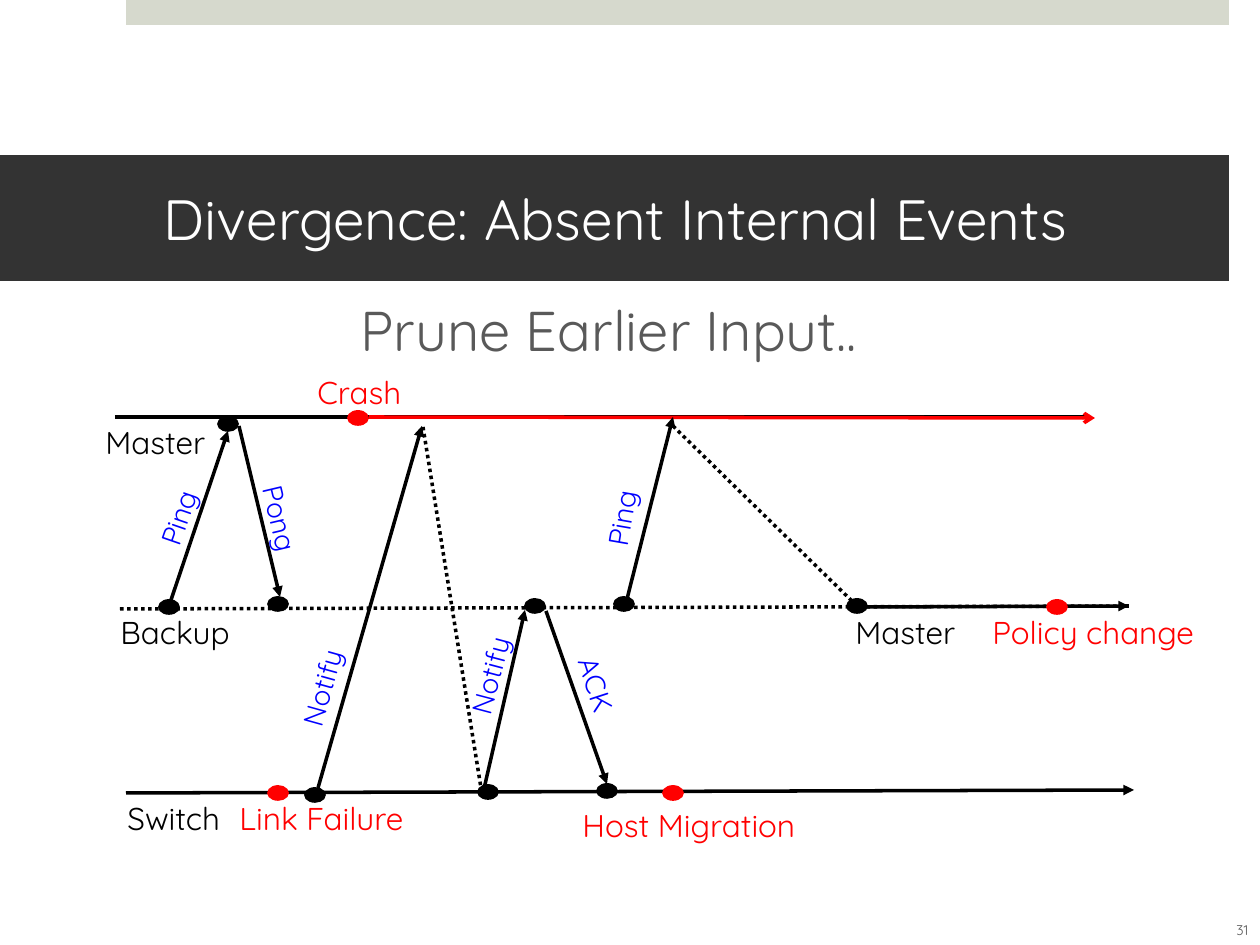
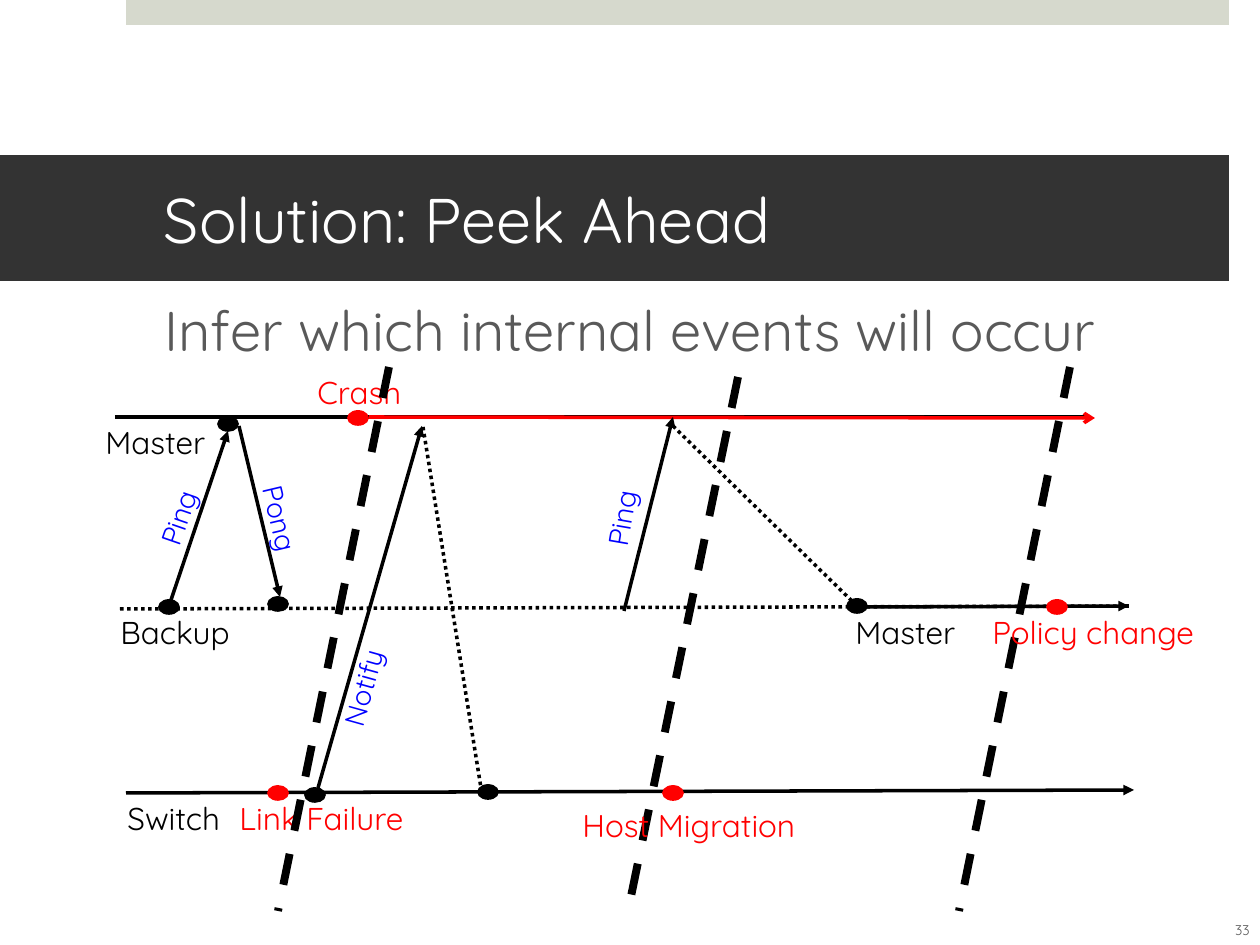
import pptx
import pptx.util
import pptx.dml.color
import pptx.enum.dml
import pptx.enum.shapes
import pptx.enum.text
import pptx.oxml.ns
import lxml.etree

RGB = pptx.dml.color.RGBColor
BLACK = RGB(0, 0, 0)
WHITE = RGB(0xFF, 0xFF, 0xFF)
RED = RGB(0xFF, 0, 0)
BLUE = RGB(0, 0, 0xFF)
GRAY = RGB(0x59, 0x59, 0x59)
DARK = RGB(0x33, 0x33, 0x33)
SAGE = RGB(0xD6, 0xD9, 0xCD)
FONT = "Quicksand"
PX = 914400 / 126
DOT = pptx.enum.dml.MSO_LINE.ROUND_DOT
DASH = pptx.enum.dml.MSO_LINE.DASH
SHAPE = pptx.enum.shapes.MSO_SHAPE
ALIGN = pptx.enum.text.PP_ALIGN
MIDDLE = pptx.enum.text.MSO_ANCHOR.MIDDLE


def write(frame, text, size, color, wrap=True, align=ALIGN.LEFT):
    frame.word_wrap = wrap
    para = frame.paragraphs[0]
    para.alignment = align
    run = para.add_run()
    run.text = text
    run.font.name = FONT
    run.font.size = pptx.util.Pt(size)
    run.font.color.rgb = color


def link(slide, ends, color=BLACK, width=2, dash=None, head=None):
    line = slide.shapes.add_connector(
        pptx.enum.shapes.MSO_CONNECTOR.STRAIGHT, *[round(v * PX) for v in ends])
    line.line.color.rgb = color
    line.line.width = pptx.util.Pt(width)
    if dash:
        line.line.dash_style = dash
    qn = pptx.oxml.ns.qn
    if head:
        lxml.etree.SubElement(line.line._get_or_add_ln(), qn("a:tailEnd"), type=head)
    lxml.etree.SubElement(line._element.spPr, qn("a:effectLst"))


# Time lines: ends, colour, dash, head
axes = [
    ((126, 793, 1134, 790), BLACK, None, "triangle"),
    ((115, 417, 1087, 417), BLACK, None, None),
    ((120, 609, 1129, 606), BLACK, DOT, "triangle"),
    ((867, 607, 1129, 606), BLACK, None, None),
    ((369, 417, 1095, 418), RED, None, "arrow"),
]

# Names and inputs: left, top, width, text, colour
early = [
    (93, 417, 130, "Master", BLACK),
    (108, 607, 144, "Backup", BLACK),
    (115, 793, 125, "Switch", BLACK),
    (305, 367, 115, "Crash", RED),
    (227, 793, 190, "Link Failure", RED),
]
late = [
    (843, 607, 130, "Master", BLACK),
    (980, 607, 247, "Policy change", RED),
    (570, 800, 246, "Host Migration", RED),
]

# Messages on both slides, and replies that never came
sent = [
    (169, 606, 228, 431), (239, 426, 280, 597),
    (624, 611, 673, 417), (318, 788, 422, 426),
]
lost = [(423, 427, 481, 788), (673, 426, 857, 606)]
tags = [
    (137, 493, 84, "Ping", 289.1), (232, 498, 97, "Pong", 76.7),
    (580, 493, 84, "Ping", 279.8),
]
dots = [(218, 417), (159, 600), (268, 597), (847, 599), (305, 788), (478, 785)]
faults = [(268, 786), (348, 411), (663, 786), (1047, 600)]

# What differs between the slides
pages = [
    dict(title="Divergence: Absent Internal Events", size=32.4, num="31",
         sub="Prune Earlier Input..", left=348, cuts=[],
         sent=[(484, 789, 525, 610), (546, 611, 607, 784)],
         tags=[(270, 663, 105, "Notify", 285.6), (438, 651, 105, "Notify", 284.8),
               (554, 664, 86, "ACK", 72)],
         dots=[(614, 597), (525, 599), (597, 784)]),
    dict(title="Solution: Peek Ahead", size=36, num="33",
         sub="Infer which internal events will occur", left=152,
         cuts=[(389, 367, 278, 911), (738, 377, 627, 916), (1070, 367, 959, 911)],
         sent=[], tags=[(311, 663, 105, "Notify", 285.6)], dots=[]),
]

deck = pptx.Presentation()
deck.slide_width = round(1260 * PX)
deck.slide_height = round(945 * PX)

for page in pages:
    slide = deck.slides.add_slide(deck.slide_layouts[5])
    shapes = slide.shapes

    # Top band and title band
    band = shapes.add_shape(SHAPE.RECTANGLE, *[round(v * PX) for v in (126, 0, 1103, 25)])
    band.shadow.inherit = False
    band.fill.solid()
    band.fill.fore_color.rgb = SAGE
    band.line.fill.background()
    title = shapes.title
    title.left, title.top, title.width, title.height = [
        round(v * PX) for v in (0, 155, 1229, 126)]
    title.fill.solid()
    title.fill.fore_color.rgb = DARK
    frame = title.text_frame
    frame.auto_size = pptx.enum.text.MSO_AUTO_SIZE.NONE
    frame.vertical_anchor = MIDDLE
    frame.margin_left, frame.margin_right = round(164 * PX), round(38 * PX)
    write(frame, page["title"], page["size"], WHITE)

    # Subtitle and slide number
    box = shapes.add_textbox(*[round(v * PX) for v in (page["left"], 289, 1108, 127)])
    write(box.text_frame, page["sub"], 32, GRAY)
    box = shapes.add_textbox(*[round(v * PX) for v in (1211, 905, 63, 50)])
    box.text_frame.vertical_anchor = MIDDLE
    write(box.text_frame, page["num"], 8, GRAY, align=ALIGN.CENTER)

    # Time lines and labels, with the cuts between early and late ones
    for ends, color, dash, head in axes:
        link(slide, ends, color, dash=dash, head=head)
    for group, cuts in ((early, page["cuts"]), (late, [])):
        for left, top, width, text, color in group:
            box = shapes.add_textbox(*[round(v * PX) for v in (left, top, width, 50)])
            write(box.text_frame, text, 18, color, wrap=False)
        for ends in cuts:
            link(slide, ends, width=4.5, dash=DASH)

    # Messages
    for ends in sent + page["sent"]:
        link(slide, ends, head="triangle")
    for ends in lost:
        link(slide, ends, dash=DOT)
    for left, top, width, text, turn in tags + page["tags"]:
        box = shapes.add_textbox(*[round(v * PX) for v in (left, top, width, 47)])
        box.rotation = turn
        write(box.text_frame, text, 16, BLUE, wrap=False)

    # Event dots
    for color, spots in ((BLACK, dots + page["dots"]), (RED, faults)):
        for left, top in spots:
            dot = shapes.add_shape(SHAPE.OVAL, *[round(v * PX) for v in (left, top, 20, 14)])
            dot.shadow.inherit = False
            dot.fill.solid()
            dot.fill.fore_color.rgb = color
            dot.line.color.rgb = color
            dot.line.width = pptx.util.Pt(1)

deck.save("out.pptx")
